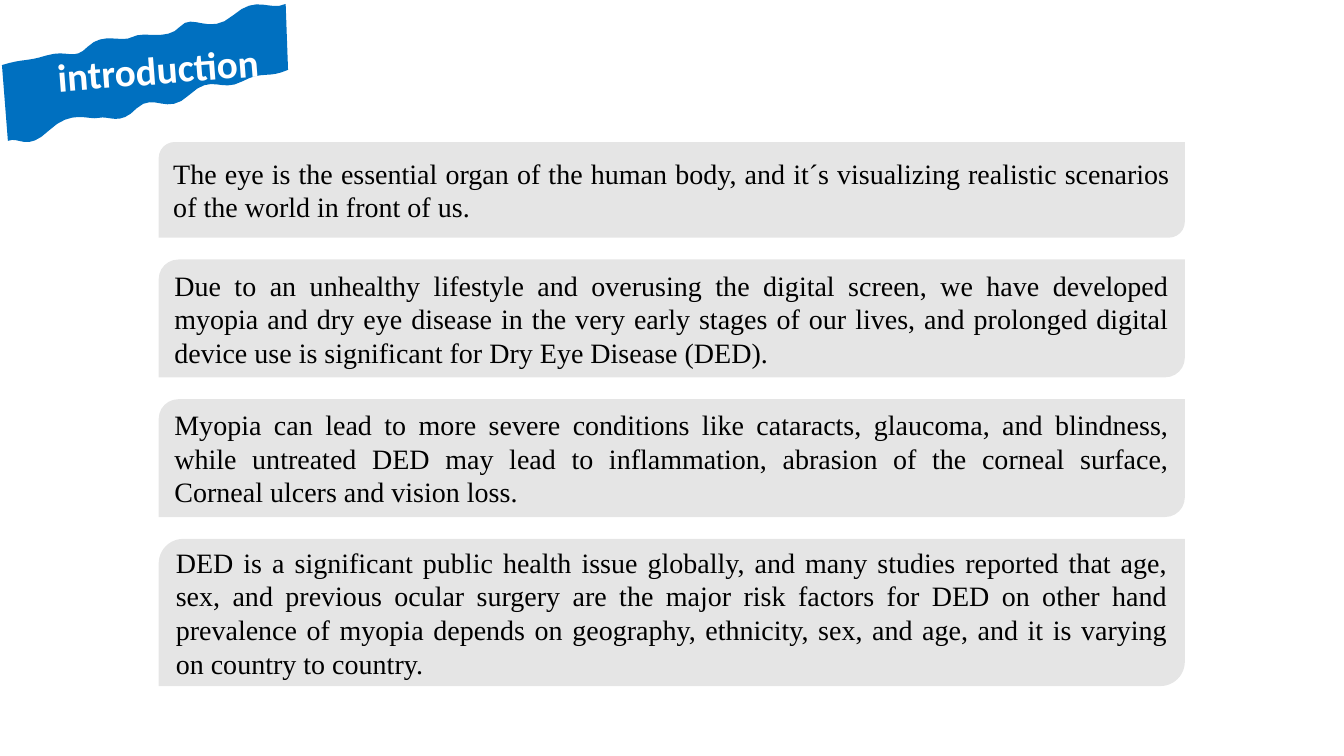
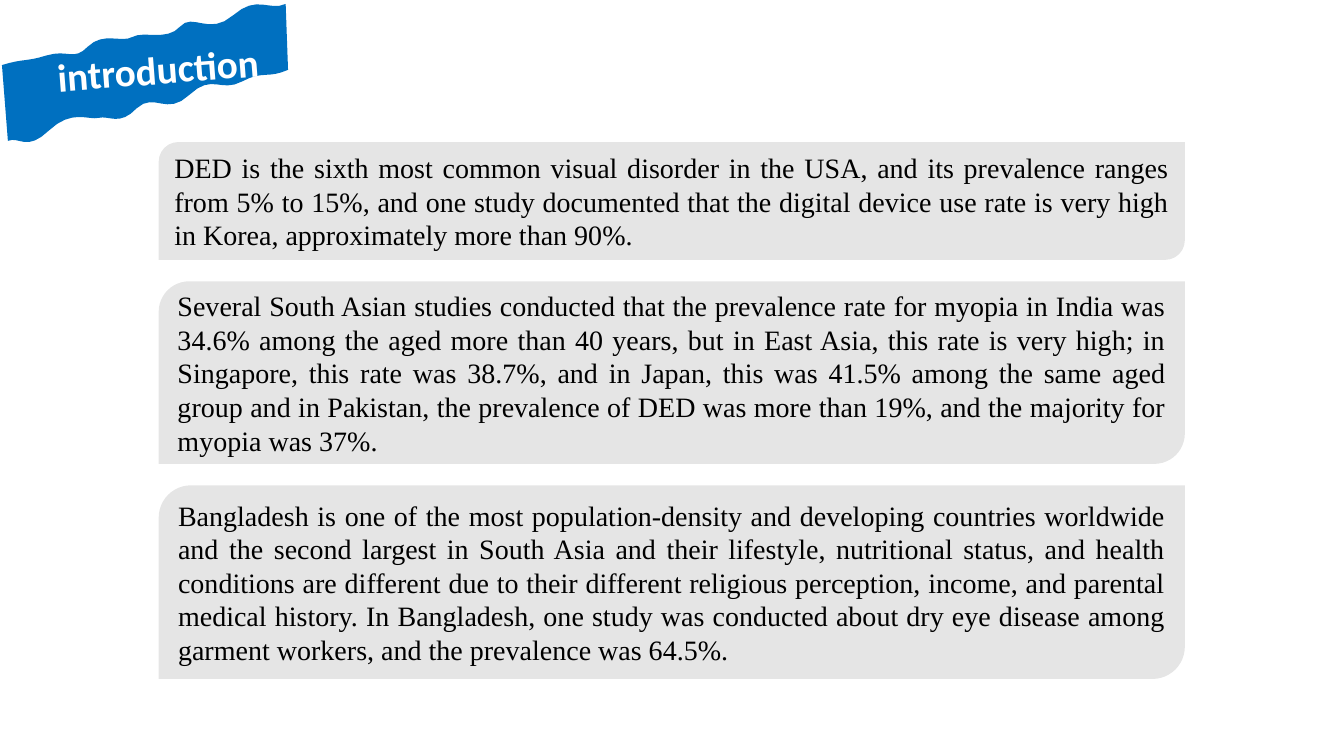
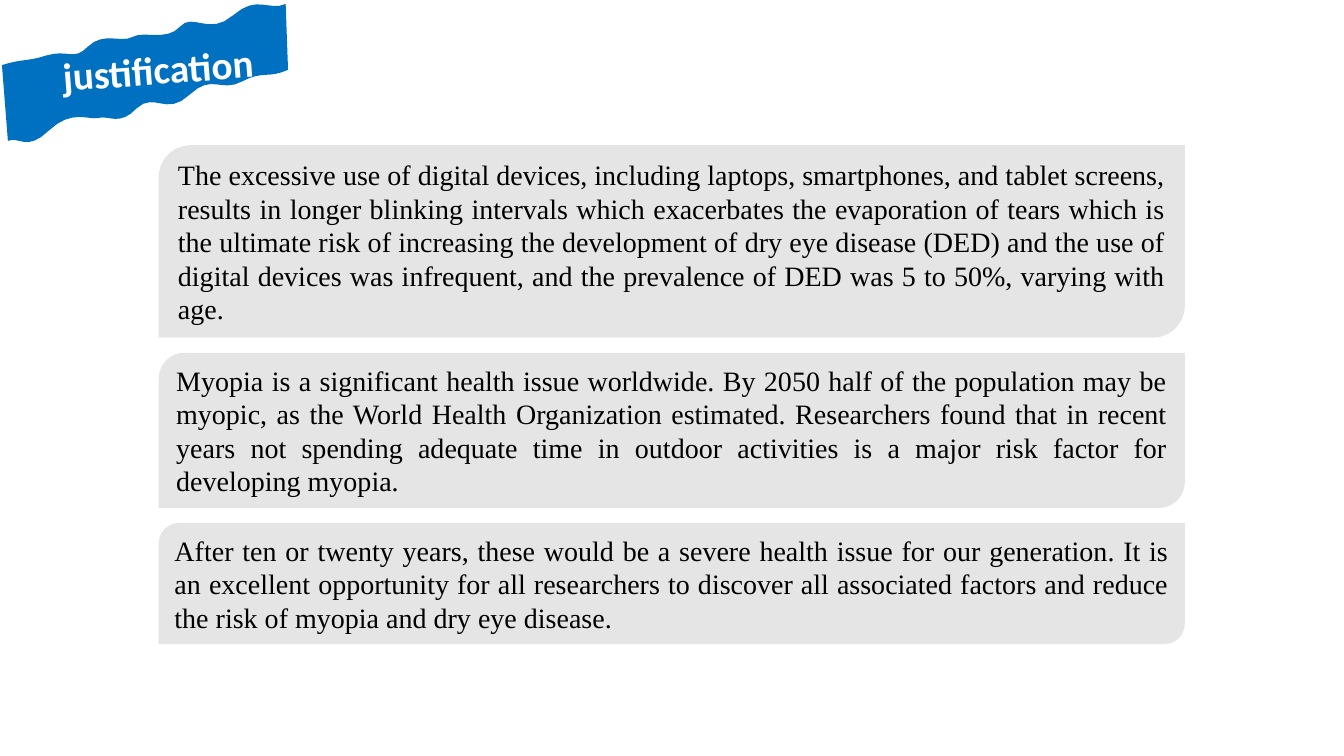
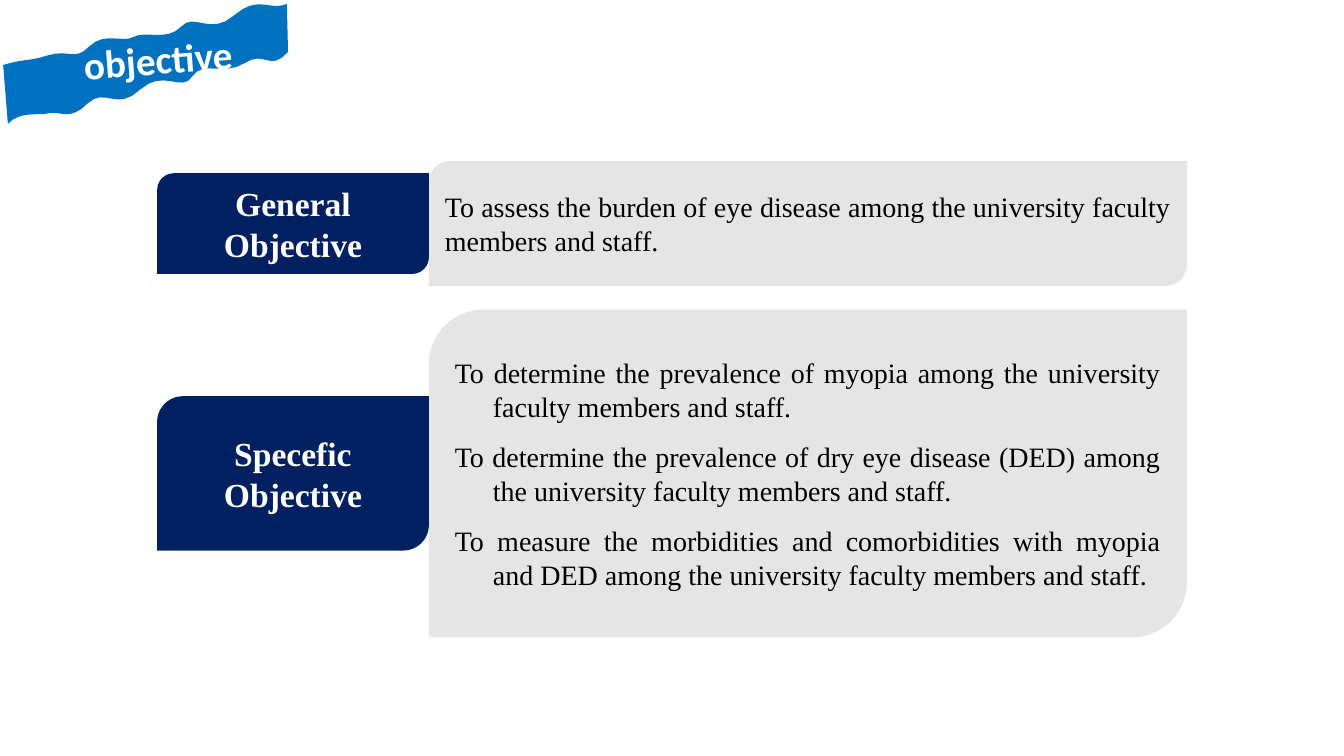
from lxml.etree import SubElement
from pptx import Presentation
from pptx.dml.color import RGBColor
from pptx.enum.shapes import MSO_SHAPE
from pptx.enum.text import MSO_ANCHOR, PP_ALIGN
from pptx.oxml.ns import qn
from pptx.util import Cm, Pt

COLORS = {"banner": "0070C0", "label": "002060", "ink": "000000", "paper": "FFFFFF"}
HEAD_FONT, BODY_FONT = "Calibri", "Times New Roman"

EDGE_LENGTH = 3.89
WAVE_HEIGHT = 5
CURVE_STEPS = 8
TOP_WAVE = [
    (0, 0), (0.31, -0.01), (0.32, 0.01), (0.61, 0), (0.91, -0.01), (0.98, 0.06),
    (1.18, 0), (1.39, -0.06), (1.64, 0.02), (1.79, 0), (1.95, -0.02), (2.26, 0.06),
    (2.44, 0), (2.62, -0.06), (2.84, 0.08), (3.17, 0), (3.5, -0.08), (3.66, 0.02),
    (3.89, 0),
]
TALL_BANNER = {
    "corners": [(0.05, 1.64), (7.2, 0.1), (7.26, 1.76), (0.2, 3.55)],
    "text_y": 1.73,
    "wave": [
        (3.89, 0), (3.61, 0.02), (3.54, -0.03), (3.25, 0), (2.95, 0.03), (2.84, -0.08),
        (2.52, 0), (2.2, 0.08), (2.04, -0.06), (1.79, 0), (1.55, 0.07), (1.41, 0),
        (1.26, 0), (1.12, 0), (0.89, -0.08), (0.57, 0), (0.26, 0.08), (0.16, -0.01),
        (0, 0),
    ],
}
SLIM_BANNER = {
    "corners": [(0.08, 1.64), (7.23, 0.1), (7.26, 1.31), (0.2, 3.12)],
    "text_y": 1.48,
    "wave": [
        (3.89, 0), (3.63, 0.08), (3.58, -0.04), (3.29, 0), (2.99, 0.04), (2.71, -0.07),
        (2.56, 0), (2.41, 0.07), (2.16, -0.08), (1.83, 0), (1.51, 0.08), (1.35, -0.06),
        (1.11, 0), (0.86, 0.07), (0.72, 0), (0.57, 0), (0.43, 0), (0.17, -0.05),
        (0, 0),
    ],
}

CARD_SLIDES = [
    ("introduction", 3.58, 0.55, [
        (2.41, "The eye is the essential organ of the human body, and it´s visualizing realistic "
               "scenarios of the world in front of us."),
        (2.97, "Due to an unhealthy lifestyle and overusing the digital screen, we have developed "
               "myopia and dry eye disease in the very early stages of our lives, and prolonged "
               "digital device use is significant for Dry Eye Disease (DED)."),
        (2.97, "Myopia can lead to more severe conditions like cataracts, glaucoma, and blindness, "
               "while untreated DED may lead to inflammation, abrasion of the corneal surface, "
               "Corneal ulcers and vision loss."),
        (3.71, "DED is a significant public health issue globally, and many studies reported that "
               "age, sex, and previous ocular surgery are the major risk factors for DED on other "
               "hand prevalence of myopia depends on geography, ethnicity, sex, and age, and it is "
               "varying on country to country."),
    ]),
    ("introduction", 3.58, 0.54, [
        (2.97, "DED is the sixth most common visual disorder in the USA, and its prevalence ranges "
               "from 5% to 15%, and one study documented that the digital device use rate is very "
               "high in Korea, approximately more than 90%."),
        (4.6, "Several South Asian studies conducted that the prevalence rate for myopia in India "
              "was 34.6% among the aged more than 40 years, but in East Asia, this rate is very "
              "high; in Singapore, this rate was 38.7%, and in Japan, this was 41.5% among the same "
              "aged group and in Pakistan, the prevalence of DED was more than 19%, and the "
              "majority for myopia was 37%."),
        (4.88, "Bangladesh is one of the most population-density and developing countries worldwide "
               "and the second largest in South Asia and their lifestyle, nutritional status, and "
               "health conditions are different due to their different religious perception, "
               "income, and parental medical history. In Bangladesh, one study was conducted about "
               "dry eye disease among garment workers, and the prevalence was 64.5%."),
    ]),
    ("justification", 3.66, 0.38, [
        (4.85, "The excessive use of digital devices, including laptops, smartphones, and tablet "
               "screens, results in longer blinking intervals which exacerbates the evaporation of "
               "tears which is the ultimate risk of increasing the development of dry eye disease "
               "(DED) and the use of digital devices was infrequent, and the prevalence of DED was "
               "5 to 50%, varying with age."),
        (3.91, "Myopia is a significant health issue worldwide. By 2050 half of the population may "
               "be myopic, as the World Health Organization estimated. Researchers found that in "
               "recent years not spending adequate time in outdoor activities is a major risk "
               "factor for developing myopia."),
        (3.05, "After ten or twenty years, these would be a severe health issue for our generation. "
               "It is an excellent opportunity for all researchers to discover all associated "
               "factors and reduce the risk of myopia and dry eye disease."),
    ]),
]
OBJECTIVES = [
    ("General Objective", 2.54, 3.15, 0, [
        "To assess the burden of eye disease among the university faculty members and staff.",
    ]),
    ("Specefic Objective", 3.89, 8.26, 0.96, [
        "To determine the prevalence of myopia among the university faculty members and staff.",
        "To determine the prevalence of dry eye disease (DED) among the university faculty members "
        "and staff.",
        "To measure the morbidities and comorbidities with myopia and DED among the university "
        "faculty members and staff.",
    ]),
]


def paint(sp, color, alpha=None):
    sp.shadow.inherit = False
    sp.line.fill.background()
    sp.fill.solid()
    sp.fill.fore_color.rgb = RGBColor.from_string(COLORS[color])
    if alpha:
        clr = sp._element.spPr.find(qn("a:solidFill"))[0]
        SubElement(clr, qn("a:alpha")).set("val", str(alpha * 1000))


def write(sp, texts, size=20, font=BODY_FONT, color="ink", bold=False,
          align=PP_ALIGN.JUSTIFY, hanging=0, after=0):
    tf = sp.text_frame
    tf.word_wrap = True
    tf.vertical_anchor = MSO_ANCHOR.MIDDLE
    for i, text in enumerate(texts):
        p = tf.paragraphs[0] if i == 0 else tf.add_paragraph()
        p.alignment = align
        p.space_after = Pt(after)
        if hanging:
            pPr = p._p.get_or_add_pPr()
            pPr.set("marL", str(Cm(hanging)))
            pPr.set("indent", str(-Cm(hanging)))
        r = p.add_run()
        r.text = text
        r.font.size, r.font.name, r.font.bold = Pt(size), font, bold
        r.font.color.rgb = RGBColor.from_string(COLORS[color])


def add_card(s, x, y, w, h, texts, fill="ink", alpha=10, **fmt):
    sp = s.shapes.add_shape(MSO_SHAPE.ROUND_2_DIAG_RECTANGLE, Cm(x), Cm(y), Cm(w), Cm(h))
    paint(sp, fill, alpha)
    write(sp, texts, **fmt)


def wavy_edge(wave, left, right):
    points = []
    for i in range(0, len(wave) - 1, 3):
        for step in range(CURVE_STEPS + 1):
            t = step / CURVE_STEPS
            weights = ((1 - t) ** 3, 3 * t * (1 - t) ** 2, 3 * t * t * (1 - t), t ** 3)
            along, rise = (sum(k * pt[axis] for k, pt in zip(weights, wave[i:i + 4]))
                           for axis in (0, 1))
            u = along / EDGE_LENGTH
            x = left[0] + u * (right[0] - left[0])
            y = left[1] + u * (right[1] - left[1]) + rise * WAVE_HEIGHT
            points.append((Cm(x), Cm(y)))
    return points


def add_banner(s, title, banner):
    top_left, top_right, bottom_right, bottom_left = banner["corners"]
    outline = (wavy_edge(TOP_WAVE, top_left, top_right)
               + wavy_edge(banner["wave"], bottom_left, bottom_right))
    fb = s.shapes.build_freeform(*outline[0], scale=1.0)
    fb.add_line_segments(outline[1:], close=True)
    paint(fb.convert_to_shape(), "banner")
    w, h = 7, 1.6
    tb = s.shapes.add_textbox(Cm(3.98 - w / 2), Cm(banner["text_y"] - h / 2), Cm(w), Cm(h))
    tb.rotation = -4.5
    write(tb, [title], size=28, font=HEAD_FONT, color="paper", bold=True, align=PP_ALIGN.CENTER)


def add_card_slide(prs, title, top, gap, cards):
    s = prs.slides.add_slide(prs.slide_layouts[6])
    add_banner(s, title, TALL_BANNER)
    for h, text in cards:
        add_card(s, 4, top, 25.86, h, [text])
        top += h + gap


def add_objective_slide(prs):
    s = prs.slides.add_slide(prs.slide_layouts[6])
    add_banner(s, "objective", SLIM_BANNER)
    x, y, label_w, panel_w, gap = 3.96, 4.06, 6.85, 19.1, 0.59
    for label, label_h, panel_h, hanging, goals in OBJECTIVES:
        add_card(s, x, y + (panel_h - label_h) / 2, label_w, label_h, [label], fill="label",
                 alpha=None, size=24, color="paper", bold=True, align=PP_ALIGN.CENTER)
        add_card(s, x + label_w, y, panel_w, panel_h, goals, hanging=hanging,
                 after=12 if hanging else 0)
        y += panel_h + gap


def main():
    prs = Presentation()
    prs.slide_width, prs.slide_height = Cm(33.87), Cm(19.05)
    for card_slide in CARD_SLIDES:
        add_card_slide(prs, *card_slide)
    add_objective_slide(prs)
    prs.save("out.pptx")


if __name__ == "__main__":
    main()
